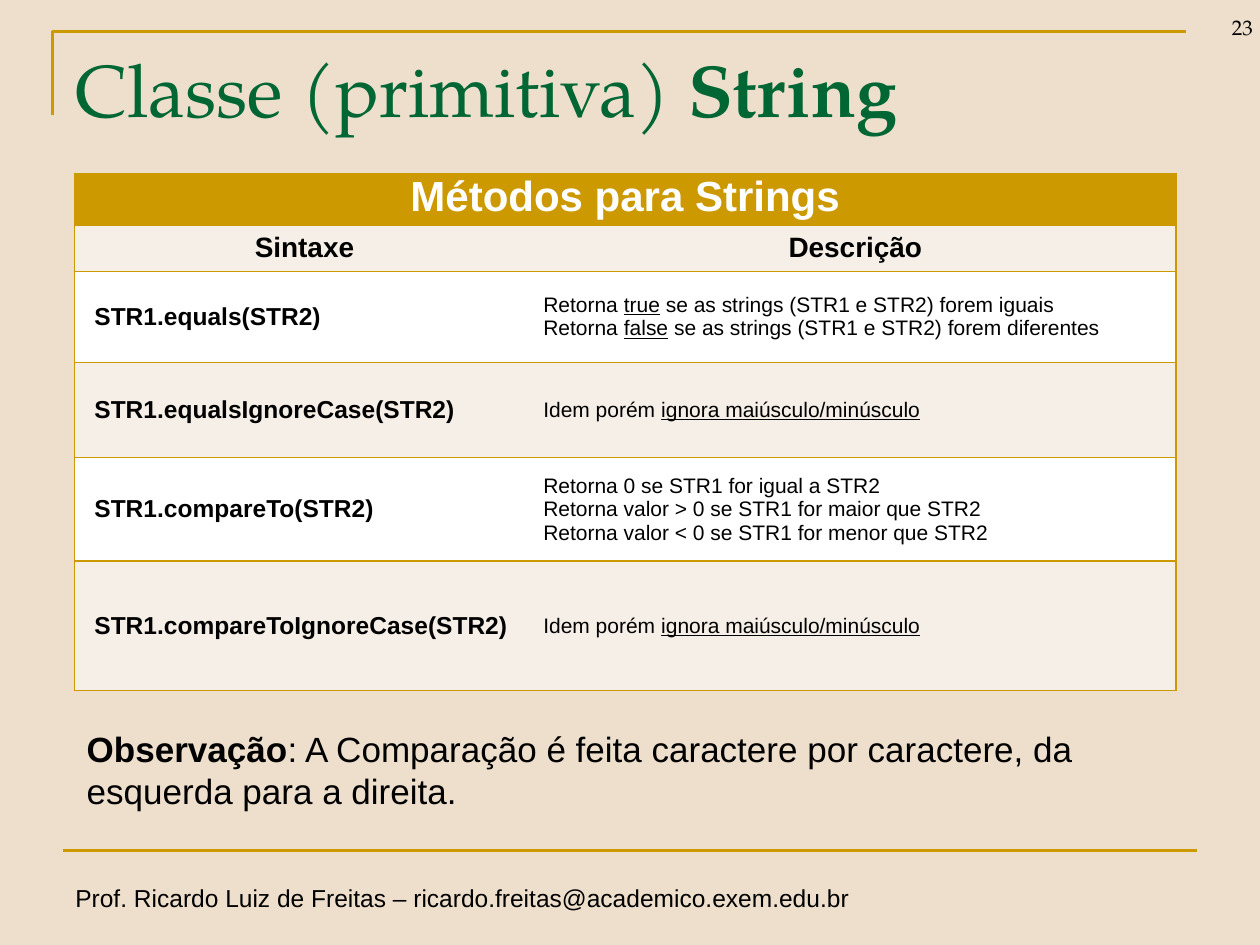
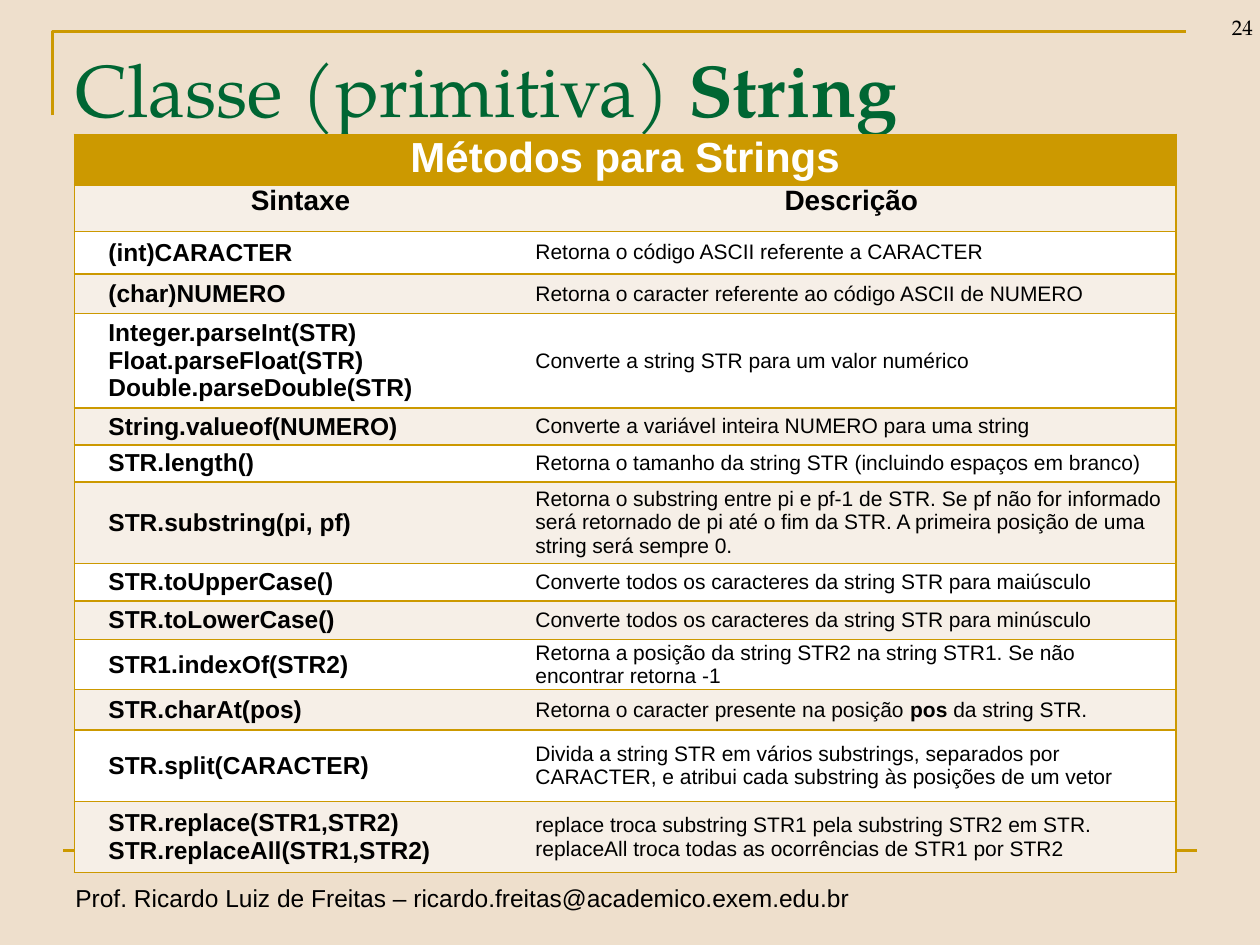
from dataclasses import dataclass

from lxml import etree
from pptx import Presentation
from pptx.dml.color import RGBColor
from pptx.enum import shapes, text
from pptx.oxml import ns
from pptx.util import Pt


@dataclass(frozen=True)
class Theme:
    background: str = "EEDFCC"
    gold: str = "CC9900"
    green: str = "006633"
    cream: str = "F6EFE7"
    white: str = "FFFFFF"
    black: str = "000000"
    body_font: str = "Arial"
    title_font: str = "TeX Gyre Pagella"
    title: float = 42
    table_title: float = 24
    note: float = 20
    heading: float = 16
    syntax: float = 14
    description: float = 12
    rule: float = 1.5
    border: float = 1


THEME = Theme()
FOOTER = "Prof. Ricardo Luiz de Freitas – ricardo.freitas@academico.exem.edu.br"


def bold(words):
    return words, {"bold": True}


def underlined(words):
    return words, {"underline": True}


def write(frame, content, size, color=THEME.black, font=THEME.body_font,
          align=text.PP_ALIGN.LEFT, **run_format):
    """Fill a frame; content is a string or a list of paragraphs, each a
    string or a list of strings and (words, format) pairs."""
    paragraphs = [content] if isinstance(content, str) else content
    for index, runs in enumerate(paragraphs):
        paragraph = frame.paragraphs[0] if index == 0 else frame.add_paragraph()
        paragraph.alignment = align
        for part in [runs] if isinstance(runs, str) else runs:
            words, extra = (part, {}) if isinstance(part, str) else part
            run = paragraph.add_run()
            run.text = words
            run.font.name = font
            run.font.size = Pt(size)
            run.font.color.rgb = RGBColor.from_string(color)
            for name, value in {**run_format, **extra}.items():
                setattr(run.font, name, value)


def set_border(cell, sides, color=None):
    """Draw the named sides (of L, R, T, B) in gold and hide the others."""
    properties = cell._tc.get_or_add_tcPr()
    for side in "LRTB":
        line = etree.SubElement(properties, ns.qn(f"a:ln{side}"), w=str(Pt(THEME.border)))
        if side in sides:
            fill = etree.SubElement(line, ns.qn("a:solidFill"))
            etree.SubElement(fill, ns.qn("a:srgbClr"), val=color or THEME.gold)
        else:
            etree.SubElement(line, ns.qn("a:noFill"))


class Deck:
    def __init__(self, theme):
        self.theme = theme
        self.presentation = Presentation()
        self.presentation.slide_width = Pt(720)
        self.presentation.slide_height = Pt(540)
        self.slide = None

    def add_slide(self, number):
        """Start a slide with the shared frame, title, number and footer."""
        theme = self.theme
        self.slide = self.presentation.slides.add_slide(self.presentation.slide_layouts[6])
        fill = self.slide.background.fill
        fill.solid()
        fill.fore_color.rgb = RGBColor.from_string(theme.background)
        self.corner([(30, 66), (30, 18), (678, 18)])
        self.rule(36, 684, 486)
        self.text_box(36, 501, 460, 24.5, FOOTER, size=theme.syntax, wrap=False)
        self.text_box(36, 21.6, 648, 90, [["Classe (primitiva) ", bold("String")]],
                      size=theme.title, color=theme.green, font=theme.title_font)
        self.text_box(669, -10, 54, 36, str(number), size=theme.description,
                      font=theme.title_font, align=text.PP_ALIGN.RIGHT,
                      anchor=text.MSO_ANCHOR.BOTTOM)

    def style_line(self, shape):
        shape.line.color.rgb = RGBColor.from_string(self.theme.gold)
        shape.line.width = Pt(self.theme.rule)

    def corner(self, points):
        first, *others = [(Pt(x), Pt(y)) for x, y in points]
        builder = self.slide.shapes.build_freeform(*first)
        builder.add_line_segments(others, close=False)
        shape = builder.convert_to_shape()
        shape.shadow.inherit = False
        shape.fill.background()
        self.style_line(shape)

    def rule(self, left, right, top):
        connector = self.slide.shapes.add_connector(
            shapes.MSO_CONNECTOR.STRAIGHT, Pt(left), Pt(top), Pt(right), Pt(top))
        self.style_line(connector)
        etree.SubElement(connector._element.spPr, ns.qn("a:effectLst"))

    def text_box(self, left, top, width, height, content, wrap=True,
                 anchor=text.MSO_ANCHOR.TOP, **text_format):
        box = self.slide.shapes.add_textbox(Pt(left), Pt(top), Pt(width), Pt(height))
        box.text_frame.word_wrap = wrap
        box.text_frame.vertical_anchor = anchor
        write(box.text_frame, content, **text_format)

    def cell(self, cell, content, fill, sides, indent=0,
             anchor=text.MSO_ANCHOR.MIDDLE, **text_format):
        set_border(cell, sides)
        cell.fill.solid()
        cell.fill.fore_color.rgb = RGBColor.from_string(fill)
        cell.margin_left, cell.margin_right = Pt(5 + indent), Pt(5)
        cell.margin_top = cell.margin_bottom = 0
        cell.vertical_anchor = anchor
        write(cell.text_frame, content, **text_format)

    def methods_table(self, top, columns, heights, methods, indent, heading_anchor):
        """Title row, heading row, then one banded row per method."""
        theme = self.theme
        table = self.slide.shapes.add_table(
            len(heights), 2, Pt(42.5), Pt(top), Pt(sum(columns)), Pt(sum(heights))).table
        table.first_row = table.horz_banding = False
        for column, width in zip(table.columns, columns):
            column.width = Pt(width)
        for row, height in zip(table.rows, heights):
            row.height = Pt(height)

        centered = {"align": text.PP_ALIGN.CENTER, "bold": True}
        table.cell(0, 0).merge(table.cell(0, 1))
        self.cell(table.cell(0, 0), "Métodos para Strings", theme.gold, "LRTB",
                  anchor=text.MSO_ANCHOR.TOP, size=theme.table_title,
                  color=theme.white, **centered)
        for column, heading in enumerate(("Sintaxe", "Descrição")):
            self.cell(table.cell(1, column), heading, theme.cream, "LR"[column] + "TB",
                      anchor=heading_anchor, size=theme.heading, **centered)
        for row, (syntax, description) in enumerate(methods, start=2):
            fill = theme.cream if row % 2 else theme.white
            self.cell(table.cell(row, 0), syntax, fill, "LTB", indent=indent,
                      size=theme.syntax, bold=True)
            self.cell(table.cell(row, 1), description, fill, "RTB",
                      size=theme.description)


IGNORE_CASE = [["Idem porém ", underlined("ignora maiúsculo/minúsculo")]]
COMPARISON_METHODS = [
    ("STR1.equals(STR2)",
     [["Retorna ", underlined("true"), " se as strings (STR1 e STR2) forem iguais"],
      ["Retorna ", underlined("false"), " se as strings (STR1 e STR2) forem diferentes"]]),
    ("STR1.equalsIgnoreCase(STR2)", IGNORE_CASE),
    ("STR1.compareTo(STR2)",
     ["Retorna 0 se STR1 for igual a STR2",
      "Retorna valor > 0 se STR1 for maior que STR2",
      "Retorna valor < 0 se STR1 for menor que STR2"]),
    ("STR1.compareToIgnoreCase(STR2)", IGNORE_CASE),
]
CONVERSION_METHODS = [
    ("(int)CARACTER", "Retorna o código ASCII referente a CARACTER"),
    ("(char)NUMERO", "Retorna o caracter referente ao código ASCII de NUMERO"),
    (["Integer.parseInt(STR)", "Float.parseFloat(STR)", "Double.parseDouble(STR)"],
     "Converte a string STR para um valor numérico"),
    ("String.valueof(NUMERO)", "Converte a variável inteira NUMERO para uma string"),
    ("STR.length()", "Retorna o tamanho da string STR (incluindo espaços em branco)"),
    ("STR.substring(pi, pf)",
     "Retorna o substring entre pi e pf-1 de STR. Se pf não for informado será "
     "retornado de pi até o fim da STR. A primeira posição de uma string será sempre 0."),
    ("STR.toUpperCase()", "Converte todos os caracteres da string STR para maiúsculo"),
    ("STR.toLowerCase()", "Converte todos os caracteres da string STR para minúsculo"),
    ("STR1.indexOf(STR2)",
     "Retorna a posição da string STR2 na string STR1. Se não encontrar retorna -1"),
    ("STR.charAt(pos)",
     [["Retorna o caracter presente na posição ", bold("pos"), " da string STR."]]),
    ("STR.split(CARACTER)",
     "Divida a string STR em vários substrings, separados por CARACTER, e atribui "
     "cada substring às posições de um vetor"),
    (["STR.replace(STR1,STR2)", "STR.replaceAll(STR1,STR2)"],
     ["replace troca substring STR1 pela substring STR2 em STR.",
      "replaceAll troca todas as ocorrências de STR1 por STR2"]),
]


def main():
    deck = Deck(THEME)

    deck.add_slide(23)
    deck.methods_table(99, (263, 366.5), (29.5, 26.6, 52, 54.5, 59, 74),
                       COMPARISON_METHODS, indent=6.5,
                       heading_anchor=text.MSO_ANCHOR.MIDDLE)
    deck.text_box(42.5, 412, 657, 55.5,
                  [[bold("Observação"), ": A Comparação é feita caractere por caractere, "
                    "da esquerda para a direita."]], size=THEME.note)

    deck.add_slide(24)
    deck.methods_table(76.8, (258.5, 371),
                       (28.4, 26.6, 24.3, 22.7, 54, 21.1, 21.1, 46.6, 21.4, 22,
                        27.4, 23.1, 40.7, 40.7),
                       CONVERSION_METHODS, indent=14.5,
                       heading_anchor=text.MSO_ANCHOR.TOP)

    deck.presentation.save("out.pptx")


if __name__ == "__main__":
    main()
